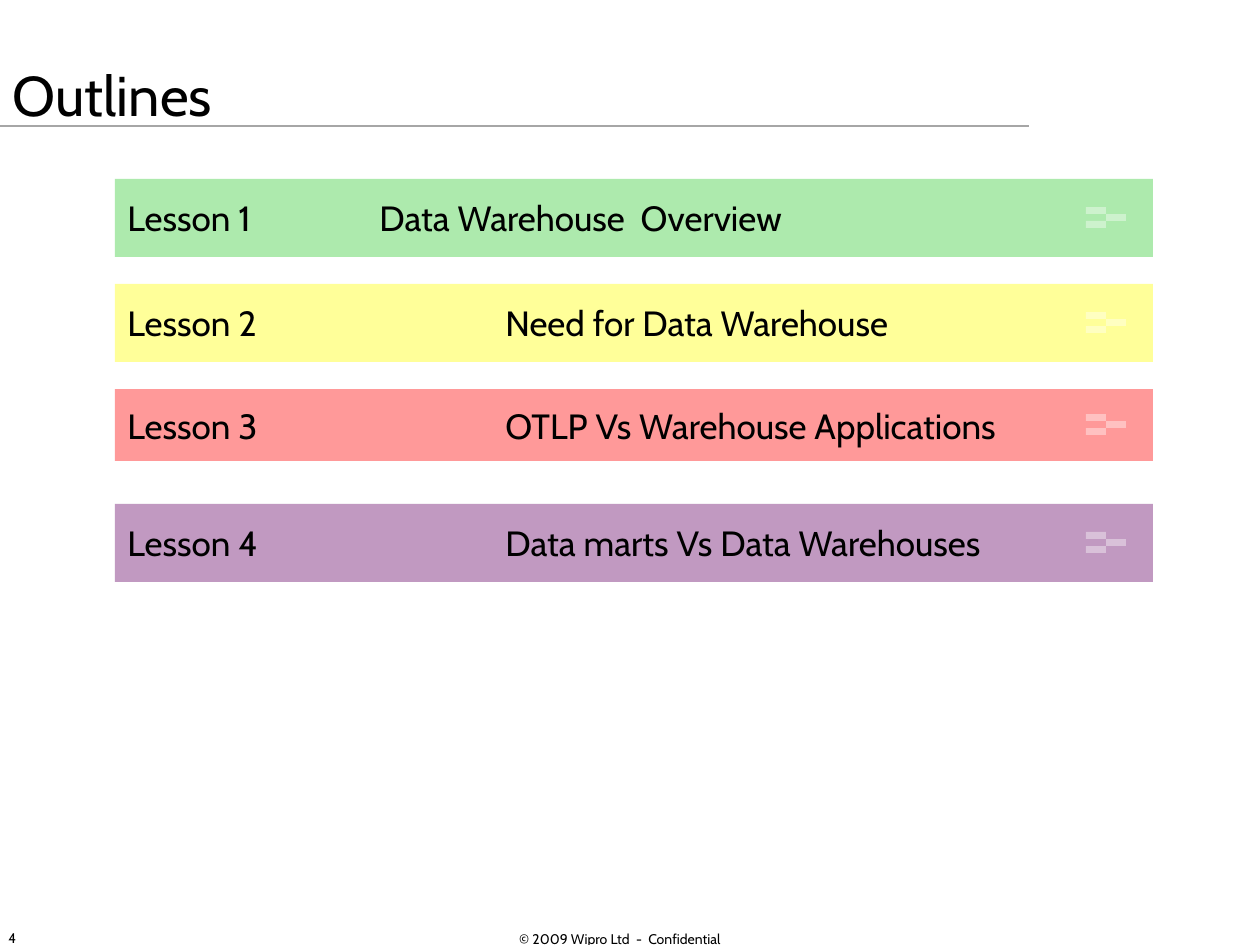
from lxml import etree
from pptx import Presentation
from pptx.dml.color import RGBColor
from pptx.enum.shapes import MSO_CONNECTOR, MSO_SHAPE
from pptx.enum.text import MSO_ANCHOR, MSO_AUTO_SIZE, PP_ALIGN
from pptx.oxml.ns import qn
from pptx.util import Emu, Pt

PX = 914400 / 126
TAB_STOPS = (126, 252, 378)
COLORS = {
    "text": "000000", "rule": "A6A6A6", "icon": "FFFFFF",
    "green": "33CC33", "yellow": "FFFF00", "red": "FF0000", "purple": "660066",
}


def write_text(shape, text, size=20, align=PP_ALIGN.LEFT, tab_stops=()):
    frame = shape.text_frame
    frame.auto_size = MSO_AUTO_SIZE.NONE
    frame.word_wrap = True
    frame.vertical_anchor = MSO_ANCHOR.MIDDLE
    frame.text = text
    paragraph = frame.paragraphs[0]
    paragraph.alignment = align
    if tab_stops:
        tab_list = etree.SubElement(paragraph._p.get_or_add_pPr(), qn("a:tabLst"))
        for stop in tab_stops:
            etree.SubElement(tab_list, qn("a:tab"), pos=str(round(stop * PX)), algn="l")
    font = paragraph.runs[0].font
    font.name = "Cabin"
    font.size = Pt(size)
    font.color.rgb = RGBColor.from_string(COLORS["text"])


def add_block(left, top, width, height, color):
    """Add a borderless rectangle that is 40 % opaque."""
    block = slide.shapes.add_shape(
        MSO_SHAPE.RECTANGLE, *(Emu(round(n * PX)) for n in (left, top, width, height)))
    block.shadow.inherit = False
    block.line.fill.background()
    block.fill.solid()
    block.fill.fore_color.rgb = RGBColor.from_string(COLORS[color])
    color_element = block.fill._xPr.find(qn("a:solidFill"))[0]
    etree.SubElement(color_element, qn("a:alpha"), val="40000")
    return block


presentation = Presentation()
presentation.slide_width = Emu(round(1260 * PX))
presentation.slide_height = Emu(round(945 * PX))
slide = presentation.slides.add_slide(presentation.slide_layouts[5])

# Title and the rule under it
title = slide.shapes.title
title.left, title.top, title.width, title.height = (
    Emu(round(n * PX)) for n in (0, 31, 1042, 126))
write_text(title, "Outlines", size=32)

rule = slide.shapes.add_connector(
    MSO_CONNECTOR.STRAIGHT, *(Emu(round(n * PX)) for n in (0, 126, 1029, 126)))
rule.line.color.rgb = RGBColor.from_string(COLORS["rule"])
rule.line.width = Pt(0.75)
etree.SubElement(rule._element.spPr, qn("a:effectLst"))

# Lesson bars, each with a three-block icon centred on its height
lessons = [
    ("Data Warehouse  Overview", "green", 179, 78),
    ("Need for Data Warehouse", "yellow", 284, 78),
    ("OTLP Vs Warehouse Applications", "red", 389, 72),
    ("Data marts Vs Data Warehouses", "purple", 504, 78),
]
ICON_LEFT, BLOCK_WIDTH, BLOCK_HEIGHT = 1086, 20, 7
for number, (topic, color, top, height) in enumerate(lessons, start=1):
    bar = add_block(115, top, 1038, height, color)
    write_text(bar, f"Lesson {number}\t\t{topic}", tab_stops=TAB_STOPS)
    icon_top = top + (height - 3 * BLOCK_HEIGHT) // 2
    for row, column in enumerate((0, 1, 0)):
        add_block(ICON_LEFT + column * BLOCK_WIDTH, icon_top + row * BLOCK_HEIGHT,
                  BLOCK_WIDTH, BLOCK_HEIGHT, "icon")

# Footer
footers = [
    ("© 2009 Wipro Ltd  -  Confidential", PP_ALIGN.CENTER, 347, 914, 546),
    ("4", PP_ALIGN.LEFT, -4, 913, 294),
]
for text, align, left, top, width in footers:
    footer = slide.shapes.add_textbox(*(Emu(round(n * PX)) for n in (left, top, width, 50)))
    write_text(footer, text, size=8, align=align)

presentation.save("out.pptx")
